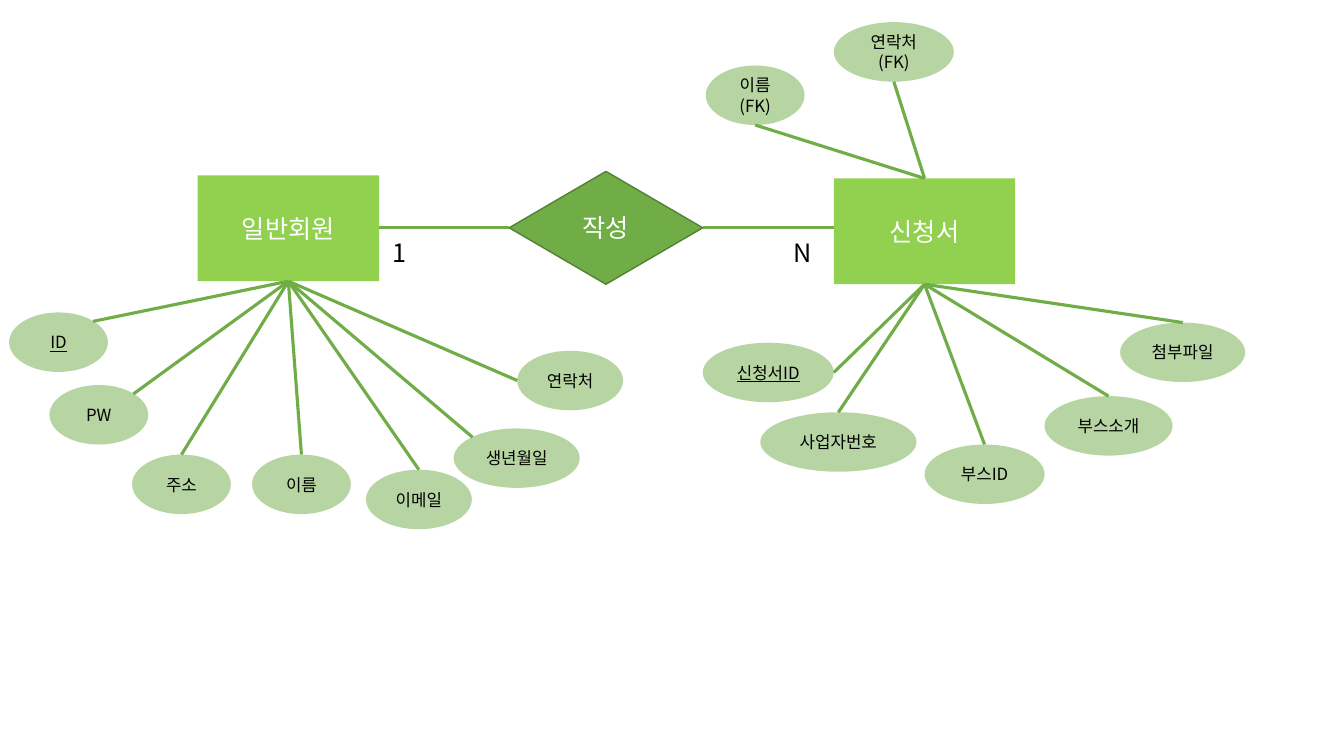
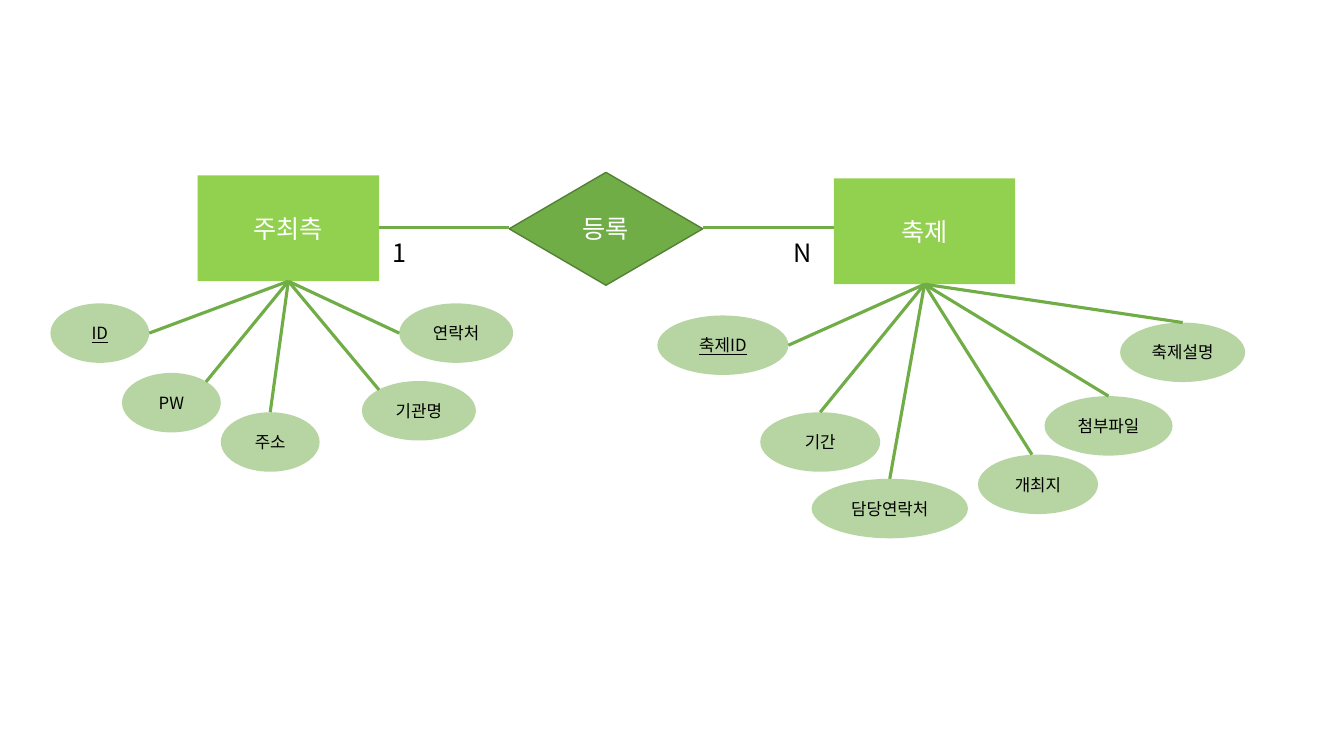
import lxml.etree
import pptx
import pptx.dml.color
import pptx.enum.shapes
import pptx.enum.text
import pptx.oxml.ns
import pptx.util

Inches = pptx.util.Inches
Pt = pptx.util.Pt
Color = pptx.dml.color.RGBColor
Shape = pptx.enum.shapes.MSO_SHAPE
Align = pptx.enum.text.PP_ALIGN
qn = pptx.oxml.ns.qn

LIME = Color(0x92, 0xD0, 0x50)
GREEN = Color(0x70, 0xAD, 0x47)
DARK = Color(0x53, 0x80, 0x35)
WHITE = Color(0xFF, 0xFF, 0xFF)
BLACK = Color(0, 0, 0)

FONT = "Noto Sans CJK KR"
HEAD = {"name": FONT, "size": Pt(18)}
LABEL = {"name": FONT, "size": Pt(12)}
FRAME = {"word_wrap": True, "vertical_anchor": pptx.enum.text.MSO_ANCHOR.MIDDLE}
NOTE = {"word_wrap": True, "auto_size": pptx.enum.text.MSO_AUTO_SIZE.SHAPE_TO_FIT_TEXT}

OVAL_H = 0.59
SIDES = {
    "N": (0.5, 0), "S": (0.5, 1), "W": (0, 0.5), "E": (1, 0.5),
    "NE": (0.85, 0.15), "NW": (0.15, 0.15), "NNW": (0.45, 0),
}
LEFT = (1.96, 1.74, 1.8, 1.05)
RIGHT = (8.27, 1.77, 1.8, 1.05)

PAGES = [
    {
        "verb": "작성", "top": 1.7,
        "nodes": [
            ("일반회원", LEFT, [
                ("ID", 0.09, 3.1, 0.98, "NE"),
                ("PW", 0.49, 3.82, 0.98, "NE"),
                ("주소", 1.31, 4.51, 0.98, "N"),
                ("이름", 2.5, 4.51, 0.98, "N"),
                ("연락처", 5.13, 3.48, 1.05, "W"),
                ("생년월일", 4.5, 4.25, 1.25, "NW"),
                ("이메일", 3.63, 4.66, 1.05, "N"),
            ]),
            ("신청서", RIGHT, [
                ("신청서ID", 6.97, 3.4, 1.3, "E"),
                ("이름(FK)", 7, 0.65, 0.98, "S"),
                ("사업자번호", 7.54, 4.09, 1.55, "N"),
                ("연락처(FK)", 8.27, 0.22, 1.19, "S"),
                ("부스ID", 9.17, 4.41, 1.19, "N"),
                ("부스소개", 10.36, 3.93, 1.27, "N"),
                ("첨부파일", 11.11, 3.2, 1.24, "N"),
            ]),
        ],
    },
    {
        "verb": "등록", "top": 1.71,
        "nodes": [
            ("주최측", LEFT, [
                ("ID", 0.5, 3.01, 0.98, "E"),
                ("PW", 1.21, 3.7, 0.98, "NE"),
                ("주소", 2.19, 4.09, 0.98, "N"),
                ("기관명", 3.59, 3.78, 1.13, "NW"),
                ("연락처", 3.96, 3.01, 1.13, "W"),
            ]),
            ("축제", RIGHT, [
                ("축제ID", 6.52, 3.13, 1.3, "E"),
                ("기간", 7.54, 4.09, 1.19, "N"),
                ("개최지", 9.7, 4.51, 1.19, "NNW"),
                ("첨부파일", 10.36, 3.93, 1.27, "N"),
                ("축제설명", 11.11, 3.2, 1.24, "N"),
                ("담당연락처", 8.05, 4.75, 1.55, "N"),
            ]),
        ],
    },
]


def apply(item, form):
    for key, value in form.items():
        setattr(item, key, value)


def write(frame, text, form, color, align):
    part = frame.paragraphs[0]
    part.alignment = align
    run = part.add_run()
    run.text = text
    apply(run.font, form)
    run.font.color.rgb = color
    lxml.etree.SubElement(run.font._element, qn("a:ea"), typeface=FONT)


def draw(slide, kind, box, fill, text, form, color):
    shape = slide.shapes.add_shape(kind, *map(Inches, box))
    shape.shadow.inherit = False
    shape.fill.solid()
    shape.fill.fore_color.rgb = fill
    shape.line.fill.background()
    apply(shape.text_frame, FRAME)
    write(shape.text_frame, text, form, color, Align.CENTER)
    return shape


def fade(shape, share):
    tint = shape._element.spPr.find(".//" + qn("a:srgbClr"))
    lxml.etree.SubElement(tint, qn("a:alpha"), val=str(share * 1000))


def link(slide, start, end):
    kind = pptx.enum.shapes.MSO_CONNECTOR.STRAIGHT
    line = slide.shapes.add_connector(kind, *map(Inches, start + end))
    line.line.color.rgb = GREEN
    line.line.width = Pt(2.25)
    lxml.etree.SubElement(line._element.spPr, qn("a:effectLst"))


def point(box, side):
    left, top, width, height = box
    across, down = SIDES[side]
    return left + across * width, top + down * height


def field(slide, owner, text, left, top, width, side):
    box = (left, top, width, OVAL_H)
    form = {**LABEL, "underline": True} if text in KEYS else LABEL
    oval = draw(slide, Shape.OVAL, box, GREEN, text, form, BLACK)
    fade(oval, 50)
    hub = point(owner, "N" if side == "S" else "S")
    link(slide, hub, point(box, side))


KEYS = {"ID", "신청서ID", "축제ID"}


def count(slide, text, left):
    box = slide.shapes.add_textbox(*map(Inches, (left, 2.31, 0.46, 0.4)))
    apply(box.text_frame, NOTE)
    write(box.text_frame, text, HEAD, BLACK, Align.LEFT)


def bond(slide, verb, top):
    box = (5.05, top, 1.92, 1.12)
    gem = draw(slide, Shape.DIAMOND, box, GREEN, verb, HEAD, WHITE)
    gem.line.color.rgb = DARK
    gem.line.width = Pt(1)
    for text, left, start in (("1", 3.79, 3.75), ("N", 7.77, 6.97)):
        link(slide, (start, 2.26), (start + 1.3, 2.26))
        count(slide, text, left)


def main():
    deck = pptx.Presentation()
    apply(deck, {"slide_width": Inches(13.33), "slide_height": Inches(7.5)})
    for page in PAGES:
        slide = deck.slides.add_slide(deck.slide_layouts[6])
        bond(slide, page["verb"], page["top"])
        for name, box, fields in page["nodes"]:
            draw(slide, Shape.RECTANGLE, box, LIME, name, HEAD, WHITE)
            for item in fields:
                field(slide, box, *item)
    deck.save("out.pptx")


main()
